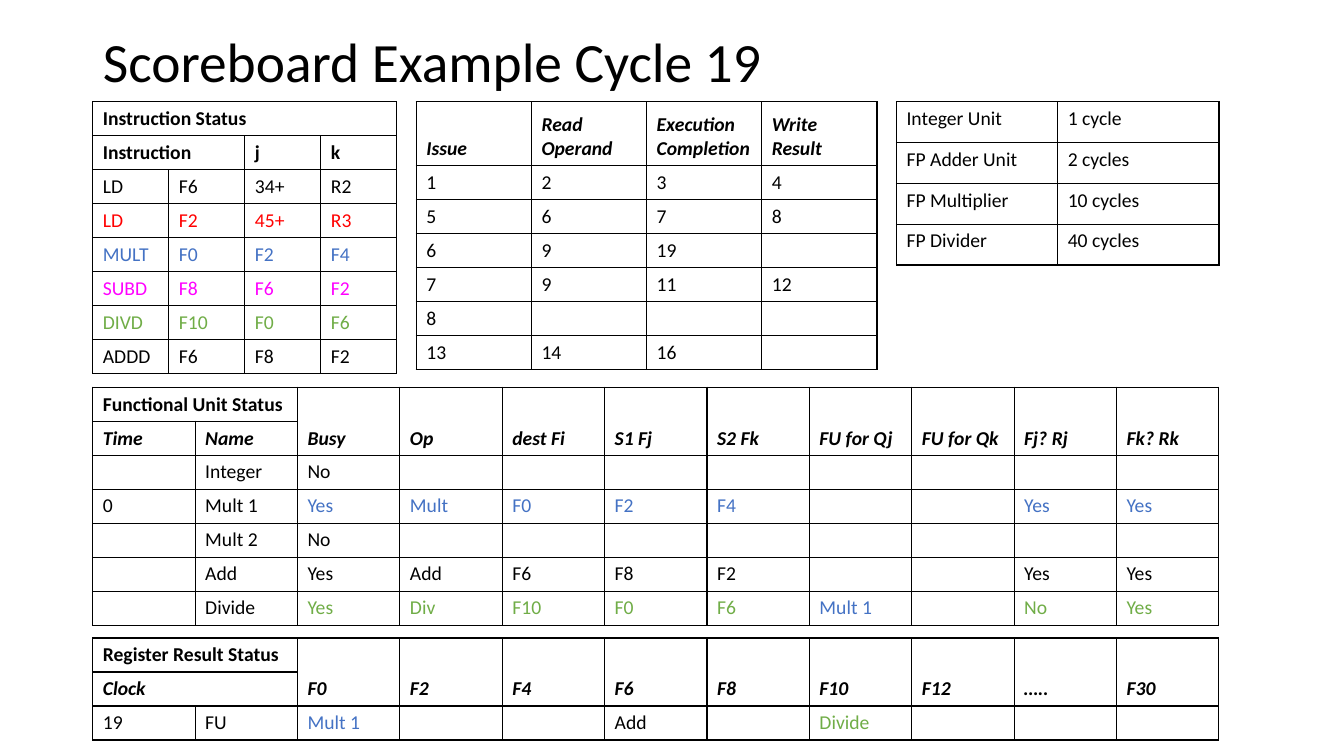
from dataclasses import dataclass

from lxml import etree
from pptx import Presentation
from pptx.dml.color import RGBColor
from pptx.enum.text import MSO_ANCHOR, MSO_AUTO_SIZE, PP_ALIGN
from pptx.oxml.ns import qn
from pptx.util import Inches, Pt

LEFT = PP_ALIGN.LEFT
TOP, MIDDLE, BOTTOM = MSO_ANCHOR.TOP, MSO_ANCHOR.MIDDLE, MSO_ANCHOR.BOTTOM
NO_AUTOFIT = MSO_AUTO_SIZE.NONE
TITLE_ONLY = 5

# Slide and grid: eleven columns, with rows as a share of the height
SLIDE_WIDTH, SLIDE_HEIGHT = 13.33, 7.5
GRID_LEFT, GRID_TOP = 0.92, 1.01
COLUMN = 11.17 / 11
ROW = SLIDE_HEIGHT * 0.045


@dataclass(frozen=True)
class Theme:
    font: str = "Calibri"
    title_size: float = 39.6
    cell_size: float = 14
    border_width: float = 1
    black: str = "000000"
    red: str = "FF0000"
    blue: str = "4472C4"
    magenta: str = "FF00FF"
    green: str = "70AD47"


THEME = Theme()

# Table contents
INSTRUCTIONS = [
    ["Instruction Status", "", "", ""],
    ["Instruction", "", "j", "k"],
    ["LD", "F6", "34+", "R2"],
    ["LD", "F2", "45+", "R3"],
    ["MULT", "F0", "F2", "F4"],
    ["SUBD", "F8", "F6", "F2"],
    ["DIVD", "F10", "F0", "F6"],
    ["ADDD", "F6", "F8", "F2"],
]
STAGES = [
    ["Issue", "Read Operand", "Execution Completion", "Write Result"],
    ["1", "2", "3", "4"],
    ["5", "6", "7", "8"],
    ["6", "9", "19", ""],
    ["7", "9", "11", "12"],
    ["8", "", "", ""],
    ["13", "14", "16", ""],
]
LATENCIES = [
    ["Integer Unit", "1 cycle"],
    ["FP Adder Unit", "2 cycles"],
    ["FP Multiplier", "10 cycles"],
    ["FP Divider", "40 cycles"],
]
FUNCTIONAL_UNITS = [
    ["Functional Unit Status", "", "Busy", "Op", "dest Fi", "S1 Fj", "S2 Fk",
     "FU for Qj", "FU for Qk", "Fj? Rj", "Fk? Rk"],
    ["Time", "Name"] + [""] * 9,
    ["", "Integer", "No"] + [""] * 8,
    ["0", "Mult 1", "Yes", "Mult", "F0", "F2", "F4", "", "", "Yes", "Yes"],
    ["", "Mult 2", "No"] + [""] * 8,
    ["", "Add", "Yes", "Add", "F6", "F8", "F2", "", "", "Yes", "Yes"],
    ["", "Divide", "Yes", "Div", "F10", "F0", "F6", "Mult 1", "", "No", "Yes"],
]
REGISTERS = [
    ["Register Result Status", "", "F0", "F2", "F4", "F6", "F8", "F10", "F12", "…..", "F30"],
    ["Clock"] + [""] * 10,
    ["19", "FU", "Mult 1", "", "", "Add", "", "Divide", "", "", ""],
]


def tint(row, columns, color):
    """Colour for a run of cells in one row."""
    return {(row, column): color for column in columns}


def add_title(slide, text):
    title = slide.shapes.title
    title.left, title.top = Inches(GRID_LEFT), Inches(SLIDE_HEIGHT * 0.036)
    title.width, title.height = Inches(11.5), Inches(GRID_TOP - SLIDE_HEIGHT * 0.036)
    frame = title.text_frame
    frame.text = text
    frame.word_wrap = True
    frame.auto_size = NO_AUTOFIT
    frame.vertical_anchor = MIDDLE
    paragraph = frame.paragraphs[0]
    paragraph.alignment = LEFT
    paragraph.line_spacing = 0.9
    style_font(paragraph.font, THEME.title_size, THEME.black)


def style_font(font, size, color, bold=False, italic=False):
    font.name = THEME.font
    font.size = Pt(size)
    font.bold = bold
    font.italic = italic
    font.color.rgb = RGBColor.from_string(color)


def add_borders(cell):
    properties = cell._tc.get_or_add_tcPr()
    for side in ("a:lnL", "a:lnR", "a:lnT", "a:lnB"):
        line = etree.SubElement(properties, qn(side), w=str(Pt(THEME.border_width)))
        fill = etree.SubElement(line, qn("a:solidFill"))
        etree.SubElement(fill, qn("a:srgbClr"), val=THEME.black)


def fill_cell(cell, text, color, bold, italic):
    add_borders(cell)
    cell.fill.background()
    cell.vertical_anchor = BOTTOM if bold else TOP
    paragraph = cell.text_frame.paragraphs[0]
    if text:
        paragraph.text = text
    else:
        # An empty cell keeps its row height through the end mark
        etree.SubElement(paragraph._p, qn("a:endParaRPr"), sz=str(THEME.cell_size * 100))
    style_font(paragraph.font, THEME.cell_size, color, bold, italic)


def add_grid_table(slide, rows, column, row, width, row_heights,
                   header_rows=0, italic_headers=True, spans=None, colors=None):
    """Place a table in grid units; spans map a cell to (rows, columns)."""
    spans, colors = spans or {}, colors or {}
    shape = slide.shapes.add_table(
        len(rows), len(rows[0]),
        Inches(GRID_LEFT + column * COLUMN), Inches(GRID_TOP + row * ROW),
        Inches(width * COLUMN), Inches(sum(row_heights) * ROW))
    table = shape.table
    table.first_row = table.horz_banding = False
    for table_row, height in zip(table.rows, row_heights):
        table_row.height = Inches(height * ROW)
    for row_index, values in enumerate(rows):
        is_header = row_index < header_rows
        for column_index, text in enumerate(values):
            place = (row_index, column_index)
            is_caption = place == (0, 0) and place in spans
            fill_cell(table.cell(*place), text, colors.get(place, THEME.black),
                      is_header, is_header and italic_headers and not is_caption)
    for (top, left), (height, breadth) in spans.items():
        table.cell(top, left).merge(table.cell(top + height - 1, left + breadth - 1))


def main():
    presentation = Presentation()
    presentation.slide_width = Inches(SLIDE_WIDTH)
    presentation.slide_height = Inches(SLIDE_HEIGHT)
    slide = presentation.slides.add_slide(presentation.slide_layouts[TITLE_ONLY])
    add_title(slide, "Scoreboard Example Cycle 19")

    # Upper band: instructions, their stages and the unit latencies
    instruction_colors = {}
    for row, color in enumerate((THEME.red, THEME.blue, THEME.magenta, THEME.green), 3):
        instruction_colors |= tint(row, range(4), color)
    add_grid_table(slide, INSTRUCTIONS, 0, 0, 2.97, [1] * 8, header_rows=2,
                   italic_headers=False, spans={(0, 0): (1, 4), (1, 0): (1, 2)},
                   colors=instruction_colors)
    add_grid_table(slide, STAGES, 3.16, 0, 4.5, [1.87] + [1] * 6, header_rows=1)
    add_grid_table(slide, LATENCIES, 7.85, 0, 3.15, [1.2] * 4)

    # Lower bands: functional units and registers share one header layout
    status_spans = {(0, 0): (1, 2)} | {(0, column): (2, 1) for column in range(2, 11)}
    unit_colors = (tint(3, range(2, 11), THEME.blue) | tint(6, range(2, 11), THEME.green)
                   | tint(6, [7], THEME.blue))
    add_grid_table(slide, FUNCTIONAL_UNITS, 0, 8.39, 11, [1] * 7, header_rows=2,
                   spans=status_spans, colors=unit_colors)
    add_grid_table(slide, REGISTERS, 0, 15.76, 11, [1] * 3, header_rows=2,
                   spans=status_spans | {(1, 0): (1, 2)},
                   colors=tint(2, [2], THEME.blue) | tint(2, [7], THEME.green))

    presentation.save("out.pptx")


if __name__ == "__main__":
    main()
